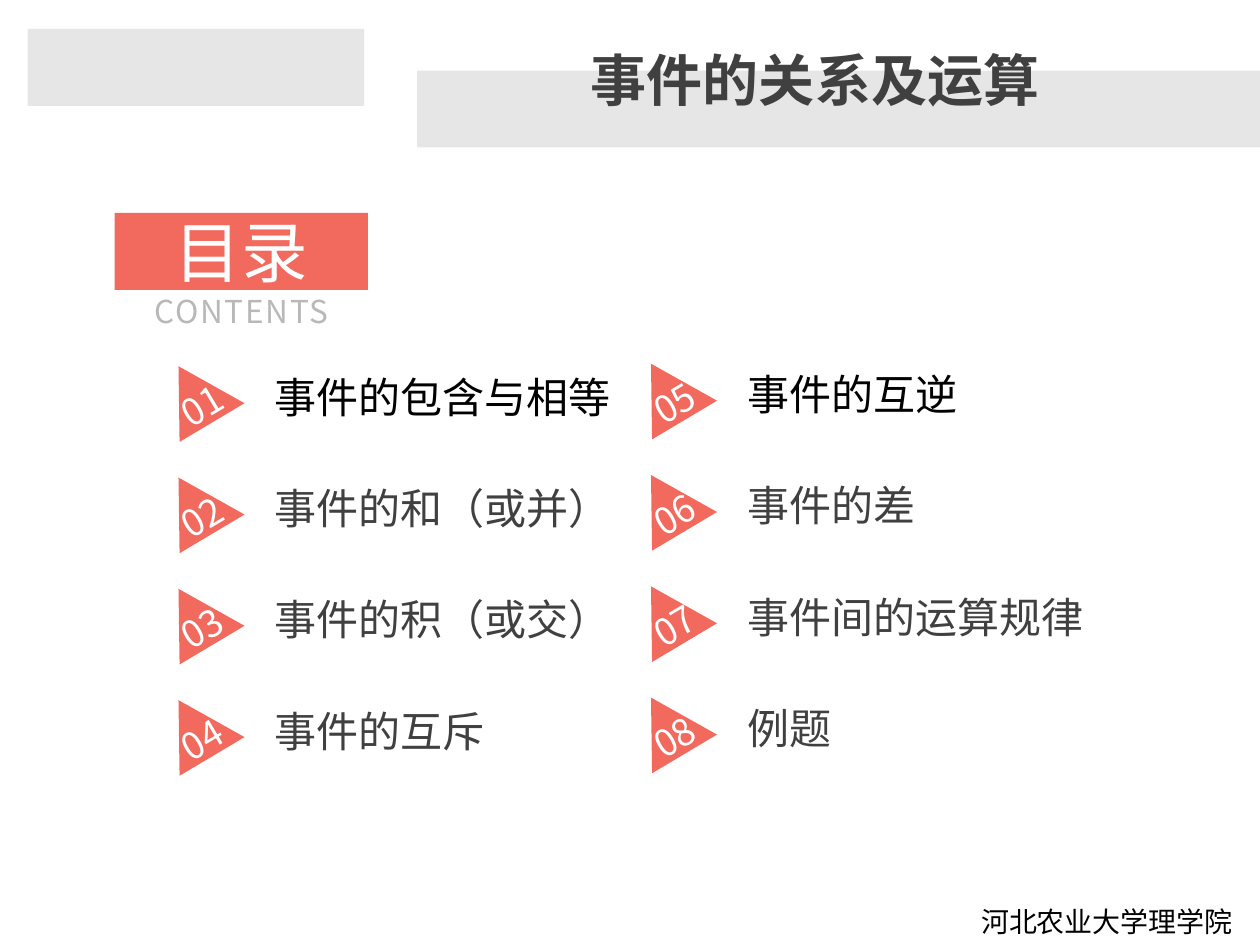
from dataclasses import dataclass

from pptx import Presentation
from pptx.dml.color import RGBColor
from pptx.enum import shapes as sh, text as tx
from pptx.oxml import ns
from pptx.util import Inches, Pt
from lxml import etree


@dataclass(frozen=True)
class Theme:
    face: str = "Noto Sans CJK SC"
    band: str = "E6E6E6"
    coral: str = "F2695E"
    white: str = "FFFFFF"
    black: str = "000000"
    dark: str = "404040"
    pale: str = "B8B8B8"
    title: int = 32
    head: int = 38
    sub: int = 18
    item: int = 24
    badge: int = 21
    foot: int = 16


T = Theme()
MID, TOP = tx.MSO_ANCHOR.MIDDLE, tx.MSO_ANCHOR.TOP
LEFT, CENTER, RIGHT = tx.PP_ALIGN.LEFT, tx.PP_ALIGN.CENTER, tx.PP_ALIGN.RIGHT
LEFT_ITEMS = ["事件的包含与相等", "事件的和（或并）", "事件的积（或交）", "事件的互斥"]
RIGHT_ITEMS = ["事件的互逆", "事件的差", "事件间的运算规律", "例题"]


def box(left, top, width, height):
    return tuple(Inches(n) for n in (left, top, width, height))


def write(shape, words, size, color, align=LEFT, anchor=MID,
          pad=(0, 0, 0, 0), bold=False, space=0):
    """Fill a shape with one paragraph; pad is left, top, right, bottom."""
    frame = shape.text_frame
    frame.word_wrap = True
    frame.auto_size = tx.MSO_AUTO_SIZE.NONE
    frame.vertical_anchor = anchor
    (frame.margin_left, frame.margin_top,
     frame.margin_right, frame.margin_bottom) = (Inches(n) for n in pad)
    frame.text = words
    para = frame.paragraphs[0]
    para.alignment = align
    font = para.font
    font.size, font.bold, font.name = Pt(size), bold, T.face
    font.color.rgb = RGBColor.from_string(color)
    props = para._p.pPr.find(ns.qn("a:defRPr"))
    etree.SubElement(props, ns.qn("a:ea"), typeface=T.face)
    if space:
        props.set("spc", str(space * 100))


def paint(shape, color):
    shape.shadow.inherit = False
    shape.fill.solid()
    shape.fill.fore_color.rgb = RGBColor.from_string(color)
    shape.line.fill.background()
    return shape


def block(slide, area, color):
    return paint(slide.shapes.add_shape(sh.MSO_SHAPE.RECTANGLE, *area), color)


def banner(slide, area):
    left, top, width, height = area
    band = Inches(0.61)
    block(slide, (left + Inches(0.22), top + Inches(0.23), Inches(2.67), band), T.band)
    start = left + Inches(3.31)
    block(slide, (start, top + Inches(0.56), left + width - start, band), T.band)
    title = slide.shapes.title
    title.left, title.top = left + Inches(3.69), top
    title.width, title.height = Inches(4.65), height
    write(title, "事件的关系及运算", T.title, T.dark, RIGHT,
          pad=(0.09, 0.04, 0.09, 0.04), bold=True)
    slide.shapes._spTree.append(title._element)  # in front of the bands


def heading(slide, area):
    left, top, width, height = area
    plate = block(slide, (left, top, width, Inches(0.61)), T.coral)
    write(plate, "目录", T.head, T.white, CENTER)
    below = Inches(0.63)
    label = slide.shapes.add_textbox(left, top + below, width, height - below)
    write(label, "CONTENTS", T.sub, T.pale, CENTER, TOP, space=1)


def badge(slide, area, number):
    """Draw a numbered triangle, turned to point right."""
    left, top, width, height = area
    pen = slide.shapes.build_freeform(left + width // 2, top)
    pen.add_line_segments([(left + width, top + height), (left, top + height)])
    mark = paint(pen.convert_to_shape(), T.coral)
    mark.rotation = 329.2
    write(mark, f"{number:02d}", T.badge, T.white, CENTER, pad=(0, 0.2, 0, 0))


def column(slide, area, items, first):
    left, top, width, height = area
    row, indent = Inches(0.49), Inches(0.93)
    pitch = (height - row) // (len(items) - 1)
    for i, words in enumerate(items):
        y = top + i * pitch
        label = slide.shapes.add_textbox(left + indent, y, width - indent, row)
        write(label, words, T.item, T.dark if i else T.black)
        badge(slide, (left, y - Inches(0.03), Inches(0.6), Inches(0.52)), first + i)


def footer(slide, area):
    write(slide.shapes.add_textbox(*area), "河北农业大学理学院", T.foot, T.black,
          RIGHT, TOP, pad=(0.1, 0.05, 0.1, 0.05))


def main():
    deck = Presentation()
    deck.slide_width, deck.slide_height = Inches(10), Inches(7.5)
    slide = deck.slides.add_slide(deck.slide_layouts[5])
    banner(slide, box(0, 0, 10, 1.25))
    footer(slide, box(4.37, 7.13, 5.51, 0.37))
    heading(slide, box(0.91, 1.69, 2.01, 1.16))
    column(slide, box(1.25, 2.9, 4.98, 3.14), LEFT_ITEMS, 1)
    column(slide, box(5, 2.88, 4.98, 3.14), RIGHT_ITEMS, 5)
    deck.save("out.pptx")


if __name__ == "__main__":
    main()
